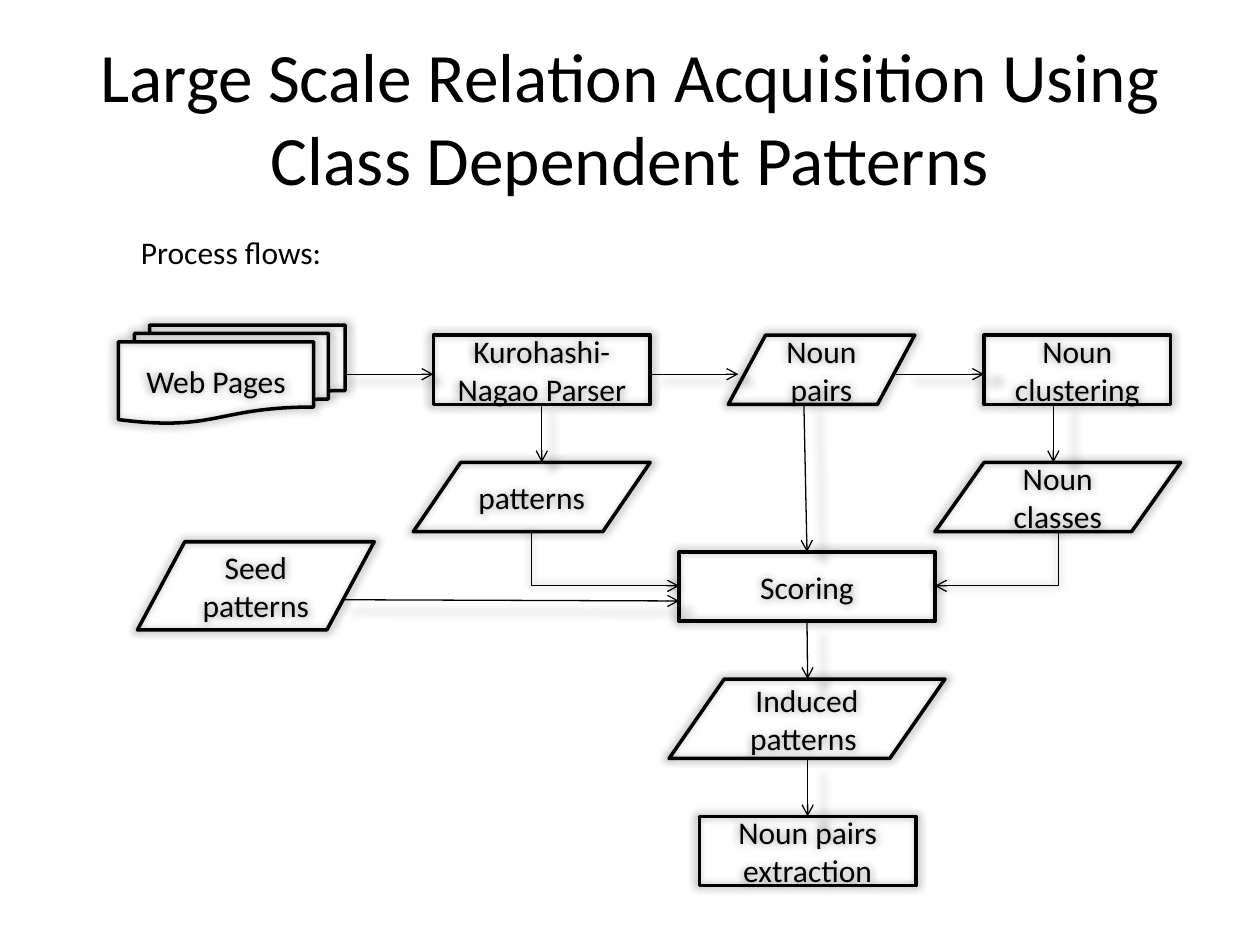
from pptx import Presentation
from pptx.dml.color import RGBColor
from pptx.enum.shapes import MSO_CONNECTOR, MSO_SHAPE
from pptx.enum.text import MSO_ANCHOR, PP_ALIGN
from pptx.oxml import parse_xml
from pptx.oxml.ns import nsdecls, qn
from pptx.util import Inches, Pt

BLACK = RGBColor(0, 0, 0)
FONT = "Calibri"
STRAIGHT, ELBOW = MSO_CONNECTOR.STRAIGHT, MSO_CONNECTOR.ELBOW
DOCUMENTS = MSO_SHAPE.FLOWCHART_MULTIDOCUMENT
PROCESS = MSO_SHAPE.FLOWCHART_PROCESS
DATA = MSO_SHAPE.FLOWCHART_DATA
RECTANGLE = MSO_SHAPE.RECTANGLE
CENTER, MIDDLE = PP_ALIGN.CENTER, MSO_ANCHOR.MIDDLE
TOP, BOTTOM = 0, 2

STEPS = [
    ("Web Pages", DOCUMENTS, 0.94, 2.58, 1.8, 0.78),
    ("Kurohashi-Nagao Parser", PROCESS, 3.44, 2.66, 1.72, 0.55),
    ("Noun pairs", DATA, 5.78, 2.66, 1.48, 0.55),
    ("patterns", DATA, 3.28, 3.67, 1.88, 0.55),
    ("Noun clustering", PROCESS, 7.81, 2.66, 1.48, 0.55),
    ("Noun classes", DATA, 7.42, 3.67, 1.95, 0.55),
    ("Scoring", PROCESS, 5.39, 4.38, 2.03, 0.55),
    ("Seed patterns", DATA, 1.09, 4.3, 1.88, 0.7),
    ("Induced patterns ", DATA, 5.31, 5.39, 2.19, 0.63),
    ("Noun pairs extraction", RECTANGLE, 5.55, 6.48, 1.72, 0.55),
]

FREE_ARROWS = [
    ((2.73, 2.97), (3.44, 2.97)),
    ((5.16, 2.97), (5.86, 2.97)),
    ((7.11, 2.97), (7.81, 2.97)),
    ((8.36, 3.2), (8.36, 3.67)),
    ((2.73, 4.76), (5.39, 4.77)),
]

ELBOW_ARROWS = [
    ((4.22, 4.22), (5.39, 4.65)),
    ((8.4, 4.22), (7.42, 4.65)),
]


def style_text(paragraph, size):
    font = paragraph.font
    font.name = FONT
    font.size = Pt(size)
    font.color.rgb = BLACK


def add_soft_shadow(element):
    element.spPr.append(parse_xml(
        f'<a:effectLst {nsdecls("a")}>'
        '<a:outerShdw blurRad="63500" sx="102000" sy="102000" algn="ctr" rotWithShape="0">'
        '<a:srgbClr val="000000"><a:alpha val="40000"/></a:srgbClr>'
        '</a:outerShdw></a:effectLst>'))


def add_step(slide, label, kind, left, top, width, height):
    step = slide.shapes.add_shape(
        kind, Inches(left), Inches(top), Inches(width), Inches(height))
    step.fill.background()
    step.line.color.rgb = BLACK
    step.line.width = Pt(2)
    add_soft_shadow(step._element)
    frame = step.text_frame
    frame.word_wrap = True
    frame.vertical_anchor = MIDDLE
    frame.text = label
    frame.paragraphs[0].alignment = CENTER
    style_text(frame.paragraphs[0], 18)
    return step


def add_arrow(slide, start, end, kind=STRAIGHT):
    arrow = slide.shapes.add_connector(
        kind, *(Inches(value) for value in (*start, *end)))
    arrow.line.color.rgb = BLACK
    arrow.line.width = Pt(0.75)
    arrow.line._get_or_add_ln().append(
        parse_xml(f'<a:tailEnd {nsdecls("a")} type="arrow"/>'))
    add_soft_shadow(arrow._element)
    return arrow


def add_elbow_arrow(slide, start, end):
    (x1, y1), (x2, y2) = start, end
    center_x, center_y = (x1 + x2) / 2, (y1 + y2) / 2
    half_width, half_height = (y2 - y1) / 2, abs(x2 - x1) / 2
    heads_right = x2 > x1
    side = half_width if heads_right else -half_width
    arrow = add_arrow(
        slide,
        (center_x + side, center_y - half_height),
        (center_x - side, center_y + half_height),
        ELBOW)
    properties = arrow._element.spPr
    properties.find(qn("a:prstGeom")).set("prst", "bentConnector2")
    degrees = 270 if heads_right else 90
    properties.find(qn("a:xfrm")).set("rot", str(degrees * 60000))


def add_caption(slide):
    caption = slide.shapes.add_textbox(
        Inches(1.02), Inches(1.8), Inches(1.71), Inches(0.4))
    caption.text_frame.word_wrap = False
    caption.text_frame.text = "Process flows:"
    style_text(caption.text_frame.paragraphs[0], 18)


def fill_title(slide):
    title = slide.shapes.title
    title.left, title.top = Inches(0.5), Inches(0.3)
    title.width, title.height = Inches(9), Inches(1.25)
    title.text_frame.text = "Large Scale Relation Acquisition Using Class Dependent Patterns"
    title.text_frame.vertical_anchor = MIDDLE
    title.text_frame.paragraphs[0].alignment = CENTER
    style_text(title.text_frame.paragraphs[0], 39.6)


def main():
    deck = Presentation()
    deck.slide_width, deck.slide_height = Inches(10), Inches(7.5)
    slide = deck.slides.add_slide(deck.slide_layouts[5])
    fill_title(slide)
    steps = {step[0]: add_step(slide, *step) for step in STEPS}

    for start, end in FREE_ARROWS:
        add_arrow(slide, start, end)
    for start, end in ELBOW_ARROWS:
        add_elbow_arrow(slide, start, end)

    parser_arrow = add_arrow(slide, (4.3, 3.2), (4.3, 3.67))
    parser_arrow.begin_connect(steps["Kurohashi-Nagao Parser"], BOTTOM)
    pairs_arrow = add_arrow(slide, (6.38, 3.2), (6.41, 4.38))
    pairs_arrow.end_connect(steps["Scoring"], TOP)
    scoring_arrow = add_arrow(slide, (6.41, 4.92), (6.41, 5.39))
    scoring_arrow.begin_connect(steps["Scoring"], BOTTOM)
    extraction_arrow = add_arrow(slide, (6.41, 6.02), (6.41, 6.48))
    extraction_arrow.end_connect(steps["Noun pairs extraction"], TOP)

    add_caption(slide)
    deck.save("out.pptx")


if __name__ == "__main__":
    main()
